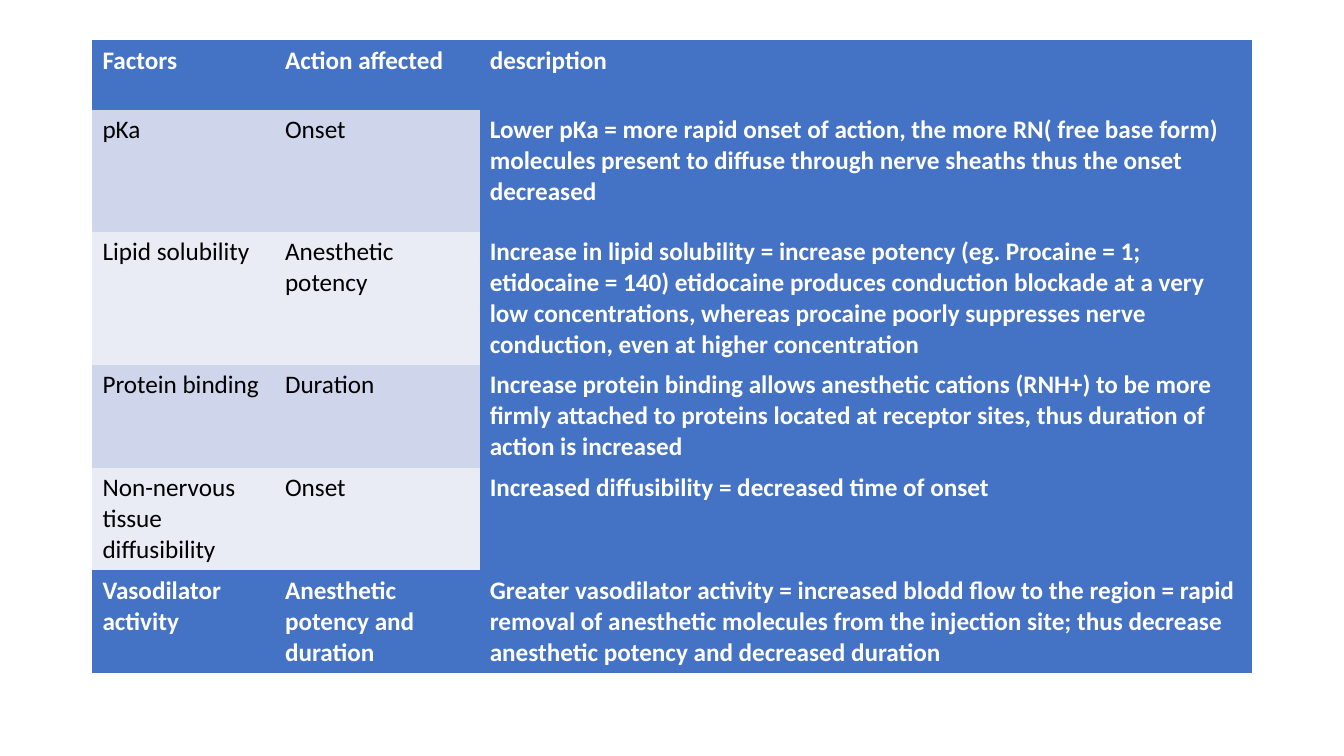
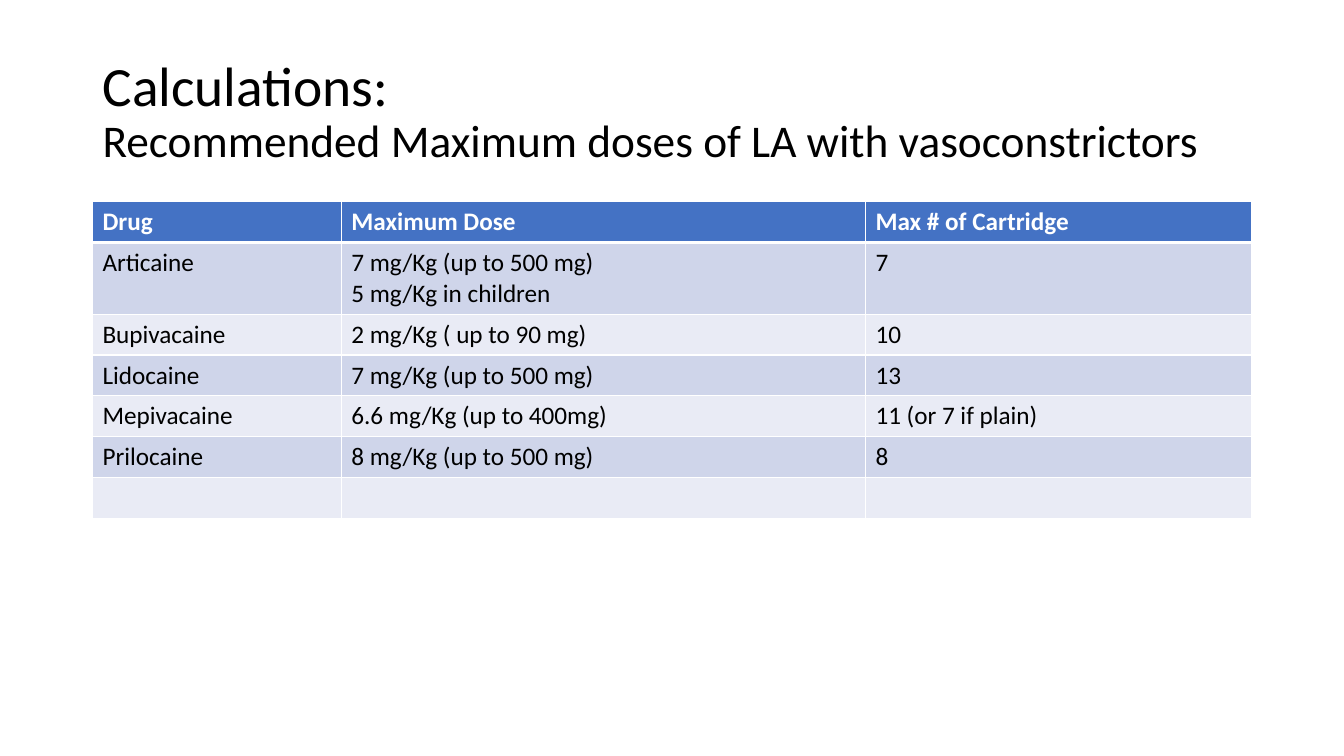
from lxml import etree
from pptx import Presentation
from pptx import util as u
from pptx.dml import color
from pptx.enum import text
from pptx.oxml import ns

COLOURS = {
    "accent": "4472C4",
    "band_dark": "CFD5EA",
    "band_light": "E9EBF5",
    "white": "FFFFFF",
    "black": "000000",
}
FONT = "Calibri"
LEFT, TOP, WIDTH = 2.33, 1.01, 29.21

FACTOR_ROWS = [
    ["Factors", "Action affected", "description"],
    ["pKa", "Onset",
     "Lower pKa = more rapid onset of action, the more RN( free base form) molecules "
     "present to diffuse through nerve sheaths thus the onset decreased"],
    ["Lipid solubility", "Anesthetic potency",
     "Increase in lipid solubility = increase potency (eg. Procaine = 1; etidocaine = 140) "
     "etidocaine produces conduction blockade at a very low concentrations, whereas "
     "procaine poorly suppresses nerve conduction, even at higher concentration"],
    ["Protein binding", "Duration",
     "Increase protein binding allows anesthetic cations (RNH+) to be more firmly attached "
     "to proteins located at receptor sites, thus duration of action is increased"],
    ["Non-nervous tissue diffusibility", "Onset",
     "Increased diffusibility = decreased time of onset"],
    ["Vasodilator activity", "Anesthetic potency and duration",
     "Greater vasodilator activity = increased blodd flow to the region = rapid removal of "
     "anesthetic molecules from the injection site; thus decrease anesthetic potency and "
     "decreased duration"],
]
DOSE_ROWS = [
    ["Drug", "Maximum Dose", "Max # of Cartridge"],
    ["Articaine", "7 mg/Kg (up to 500 mg)\n5 mg/Kg in children", "7"],
    ["Bupivacaine", "2 mg/Kg ( up to 90 mg)", "10"],
    ["Lidocaine", "7 mg/Kg (up to 500 mg)", "13"],
    ["Mepivacaine", "6.6 mg/Kg (up to 400mg)", "11 (or 7 if plain)"],
    ["Prilocaine", "8 mg/Kg (up to 500 mg)", "8"],
    ["", "", ""],
]


def rgb(name):
    return color.RGBColor.from_string(COLOURS[name])


def add_span(para, words, size, colour, bold=False):
    span = para.add_run()
    span.text = words
    span.font.name = FONT
    span.font.size = u.Pt(size)
    span.font.bold = bold
    span.font.color.rgb = rgb(colour)


def set_borders(cell, widths):
    properties = cell._tc.get_or_add_tcPr()
    for side, width in zip("LRTB", widths):
        line = etree.SubElement(properties, ns.qn(f"a:ln{side}"), w=str(u.Pt(width)))
        if width:
            fill = etree.SubElement(line, ns.qn("a:solidFill"))
            etree.SubElement(fill, ns.qn("a:srgbClr"), val=COLOURS["white"])
        else:
            etree.SubElement(line, ns.qn("a:noFill"))


def fill_cell(cell, words, fill, emphasised, borders):
    set_borders(cell, borders)
    cell.fill.solid()
    cell.fill.fore_color.rgb = rgb(fill)
    frame = cell.text_frame
    for index, line in enumerate(words.splitlines()):
        para = frame.add_paragraph() if index else frame.paragraphs[0]
        add_span(para, line, 18, "white" if emphasised else "black", emphasised)


def add_banded_table(page, top, rows, widths, heights, is_accent, borders_for):
    frame = page.shapes.add_table(len(rows), len(widths), u.Cm(LEFT), u.Cm(top),
                                  u.Cm(WIDTH), u.Cm(sum(heights)))
    table = frame.table
    for column, width in zip(table.columns, widths):
        column.width = u.Cm(width)
    for r, (row, height) in enumerate(zip(rows, heights)):
        table.rows[r].height = u.Cm(height)
        band = "band_dark" if r % 2 else "band_light"
        for c, words in enumerate(row):
            accent = is_accent(r, c)
            fill_cell(table.cell(r, c), words, "accent" if accent else band,
                      accent, borders_for(r))


def add_title(page, heading, subheading):
    title = page.shapes.title
    title.left, title.top = u.Cm(LEFT), u.Cm(TOP)
    title.width, title.height = u.Cm(WIDTH), u.Cm(3.68)
    frame = title.text_frame
    frame.word_wrap = True
    frame.auto_size = text.MSO_AUTO_SIZE.NONE
    frame.vertical_anchor = text.MSO_ANCHOR.MIDDLE
    para = frame.paragraphs[0]
    para.alignment = text.PP_ALIGN.LEFT
    para.line_spacing = 0.9
    add_span(para, heading, 39.6, "black")
    para.add_line_break()
    add_span(para, subheading, 32.4, "black")


def build_factors_page(deck):
    page = deck.slides.add_slide(deck.slide_layouts[6])
    last = len(FACTOR_ROWS) - 1
    add_banded_table(page, TOP, FACTOR_ROWS, [4.6, 5.16, 19.45],
                     [1.76, 3.07, 3.35, 2.59, 2.59, 2.59],
                     lambda r, c: r in (0, last) or c == 2,
                     lambda r: (0, 0, 0, 0))


def build_doses_page(deck):
    page = deck.slides.add_slide(deck.slide_layouts[5])
    add_title(page, "Calculations:",
              "Recommended Maximum doses of LA with vasoconstrictors")
    heights = [1.03, 1.78] + [1.03] * (len(DOSE_ROWS) - 2)
    add_banded_table(page, 5.08, DOSE_ROWS, [6.27, 13.21, 9.73], heights,
                     lambda r, c: r == 0,
                     lambda r: (1, 1, 3 if r == 1 else 1, 3 if r == 0 else 1))


def main():
    deck = Presentation()
    deck.slide_width, deck.slide_height = u.Cm(33.87), u.Cm(19.05)
    build_factors_page(deck)
    build_doses_page(deck)
    deck.save("out.pptx")


if __name__ == "__main__":
    main()
